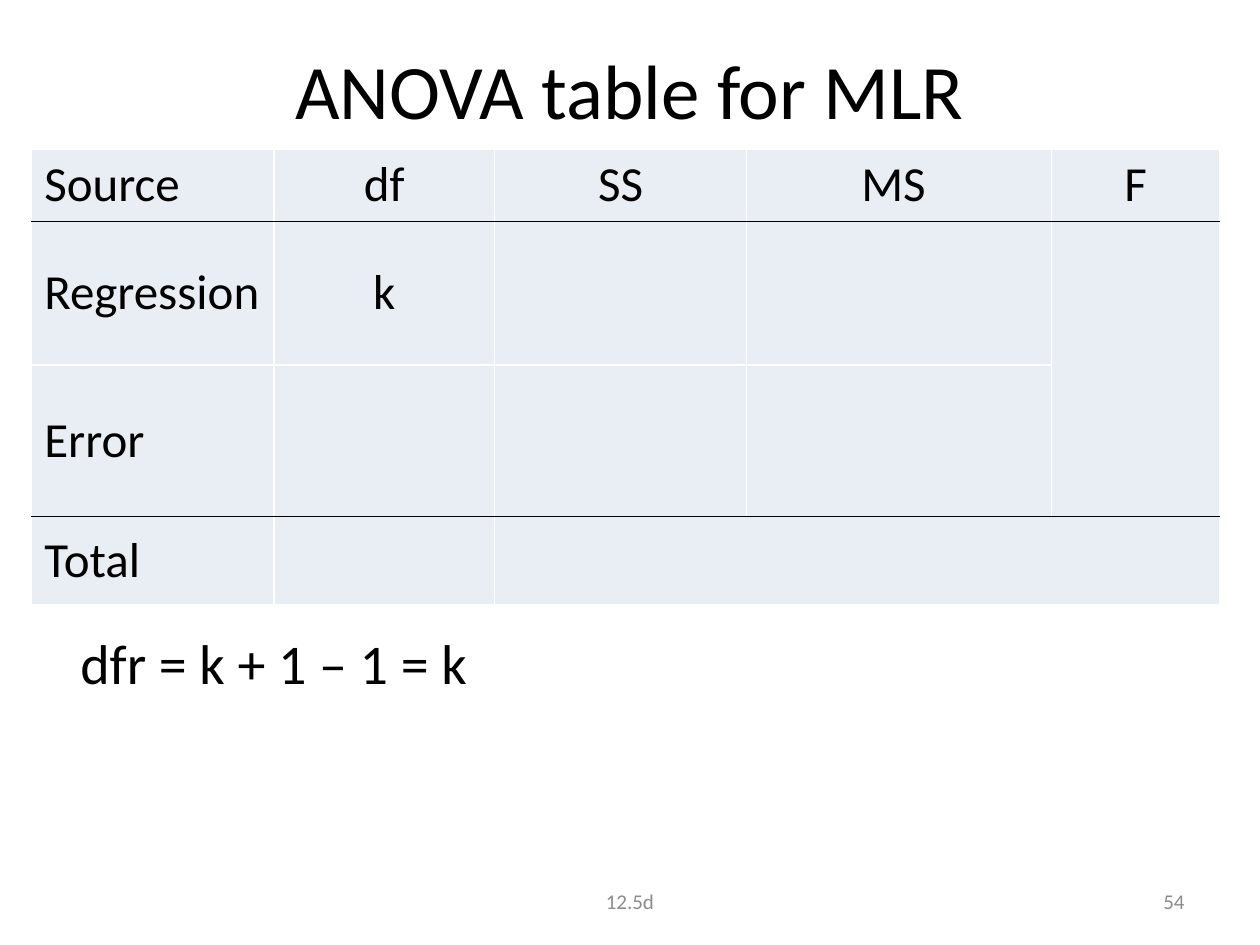
from lxml import etree
from pptx import Presentation
from pptx.dml.color import RGBColor
from pptx.enum.text import MSO_ANCHOR, PP_ALIGN
from pptx.oxml.ns import qn
from pptx.util import Cm, Pt

LEFT, CENTER, RIGHT = PP_ALIGN.LEFT, PP_ALIGN.CENTER, PP_ALIGN.RIGHT
TOP, MIDDLE = MSO_ANCHOR.TOP, MSO_ANCHOR.MIDDLE
FONT = "Calibri"
COLORS = {"ink": "000000", "paper": "FFFFFF", "cell": "E9EDF4", "footer": "8C8C8C"}

COLUMN_WIDTHS = [4.88, 4.45, 5.08, 6.15, 3.38]
ROW_HEIGHTS = [1.45, 2.9, 3.05, 1.78]
ANOVA_ROWS = [
    ["Source", "df", "SS", "MS ", "F"],
    ["Regression", "k", "", "", ""],
    ["Error", "", "", "", ""],
    ["Total", "", "", "", ""],
]
RULED_ROWS = {0, 2}


def write(frame, text, size, color="ink", align=LEFT):
    frame.text = text
    paragraph = frame.paragraphs[0]
    paragraph.alignment = align
    paragraph.font.name = FONT
    paragraph.font.size = Pt(size)
    paragraph.font.color.rgb = RGBColor.from_string(COLORS[color])


def place_title(slide, left, top, width, height):
    title = slide.shapes.title
    title.left, title.top, title.width, title.height = map(Cm, (left, top, width, height))
    title.text_frame.vertical_anchor = MIDDLE
    write(title.text_frame, "ANOVA table for MLR", 44, align=CENTER)


def place_text(slide, box, text, size, color="ink", align=LEFT, anchor=TOP, wrap=True):
    frame = slide.shapes.add_textbox(*map(Cm, box)).text_frame
    frame.word_wrap = wrap
    frame.vertical_anchor = anchor
    write(frame, text, size, color, align)


def set_borders(cell, top, bottom):
    properties = cell._tc.get_or_add_tcPr()
    sides = {"a:lnL": "paper", "a:lnR": "paper", "a:lnT": top, "a:lnB": bottom}
    for tag, color in sides.items():
        line = etree.SubElement(properties, qn(tag), w=str(Pt(1)))
        fill = etree.SubElement(line, qn("a:solidFill"))
        etree.SubElement(fill, qn("a:srgbClr"), val=COLORS[color])


def place_anova_table(slide, left, top):
    table_frame = slide.shapes.add_table(
        len(ROW_HEIGHTS), len(COLUMN_WIDTHS),
        Cm(left), Cm(top), Cm(sum(COLUMN_WIDTHS)), Cm(sum(ROW_HEIGHTS)),
    )
    anova = table_frame.table
    anova.first_row = anova.horz_banding = False
    for column, width in zip(anova.columns, COLUMN_WIDTHS):
        column.width = Cm(width)
    for row, height in zip(anova.rows, ROW_HEIGHTS):
        row.height = Cm(height)

    for r, labels in enumerate(ANOVA_ROWS):
        top_color = "ink" if r - 1 in RULED_ROWS else "paper"
        bottom_color = "ink" if r in RULED_ROWS else "paper"
        for c, label in enumerate(labels):
            cell = anova.cell(r, c)
            set_borders(cell, top_color, bottom_color)
            cell.fill.solid()
            cell.fill.fore_color.rgb = RGBColor.from_string(COLORS["cell"])
            cell.vertical_anchor = MIDDLE if r else TOP
            if label:
                write(cell.text_frame, label, 28, align=CENTER if c else LEFT)

    anova.cell(1, 4).merge(anova.cell(2, 4))
    anova.cell(3, 2).merge(anova.cell(3, 4))


def place_footer(slide, top, height):
    place_text(slide, (8.68, top, 8.04, height), "12.5d", 12, "footer", CENTER, MIDDLE)
    place_text(slide, (18.2, top, 5.93, height), "54", 12, "footer", RIGHT, MIDDLE)


def main():
    deck = Presentation()
    deck.slide_width, deck.slide_height = Cm(25.4), Cm(19.05)
    slide = deck.slides.add_slide(deck.slide_layouts[5])
    place_title(slide, 1.27, 0.2, 22.86, 3.18)
    place_anova_table(slide, 0.64, 3)
    place_text(slide, (1.37, 12.55, 8.38, 1.62), "dfr = k + 1 – 1 = k", 32, wrap=False)
    place_footer(slide, 17.65, 1.02)
    deck.save("out.pptx")


if __name__ == "__main__":
    main()
